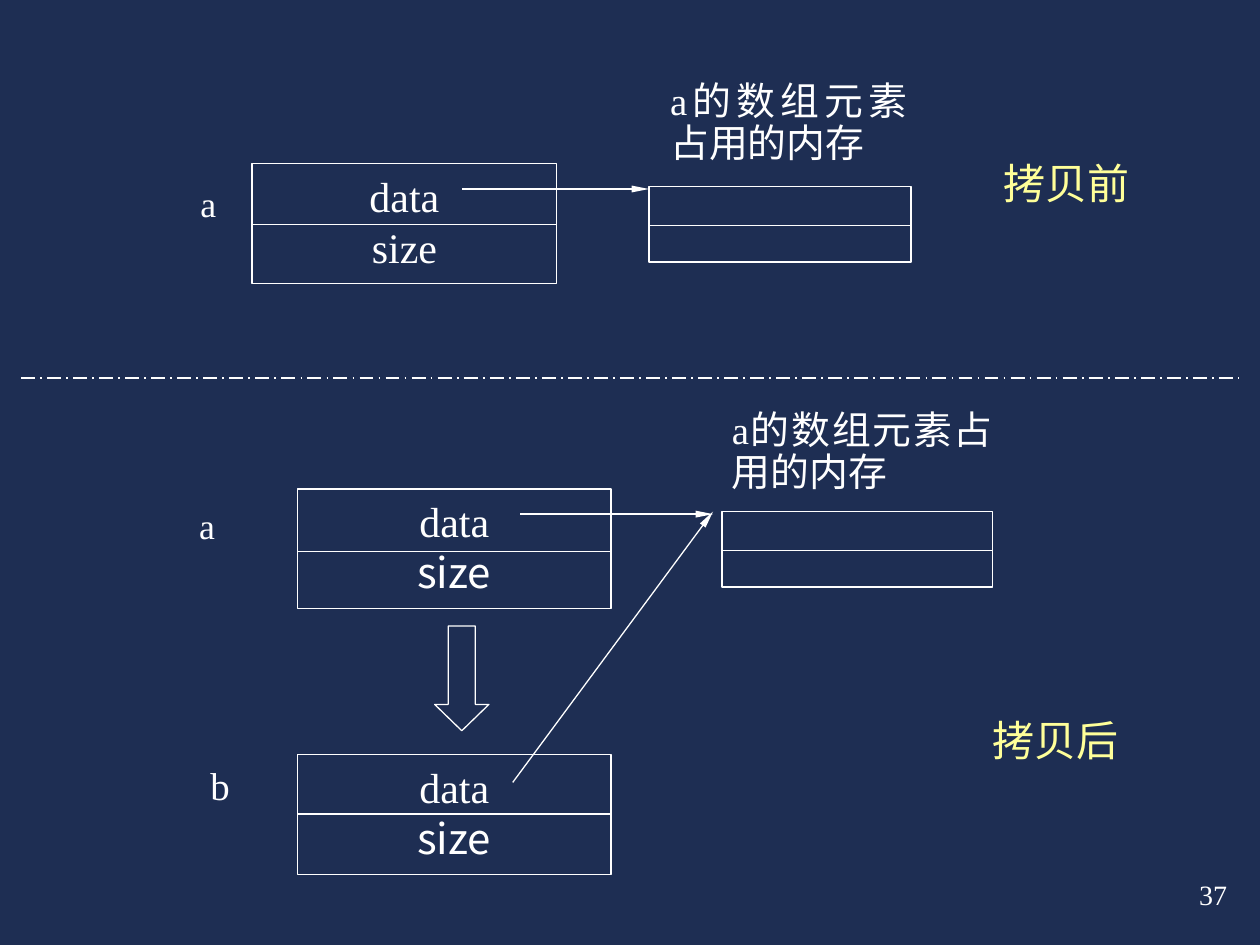
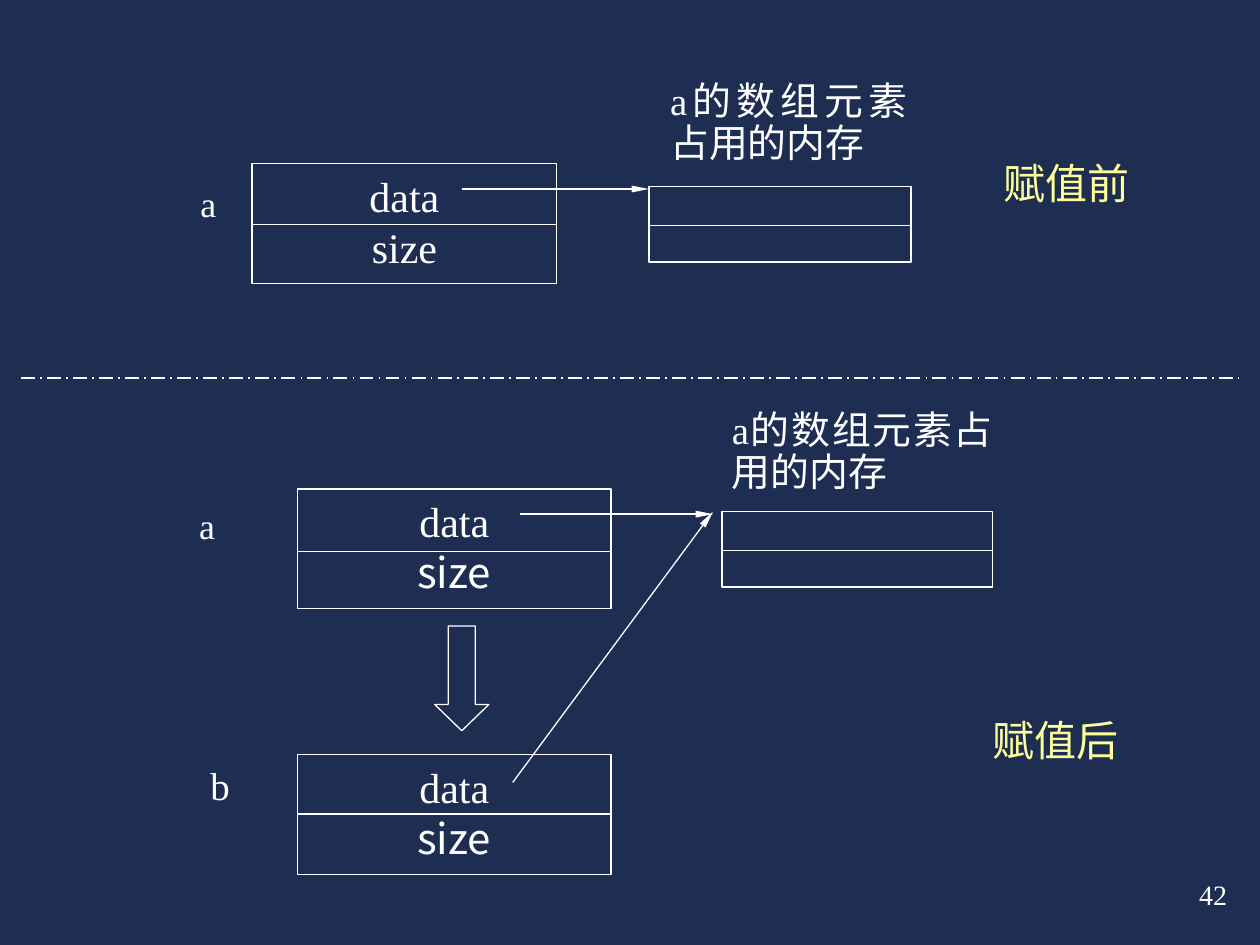
from dataclasses import dataclass

from lxml.etree import SubElement
from pptx import Presentation
from pptx.dml.color import RGBColor
from pptx.enum.dml import MSO_LINE
from pptx.enum.shapes import MSO_CONNECTOR, MSO_SHAPE
from pptx.enum.text import MSO_ANCHOR, MSO_AUTO_SIZE, PP_ALIGN
from pptx.oxml.ns import qn
from pptx.util import Pt


@dataclass(frozen=True)
class Theme:
    """Colours, fonts and sizes shared by the slides."""

    background: RGBColor = RGBColor(0x1E, 0x2E, 0x53)
    ink: RGBColor = RGBColor(0xFF, 0xFF, 0xFF)
    accent: RGBColor = RGBColor(0xFF, 0xFF, 0x99)
    latin: str = "Times New Roman"
    chinese: str = "Noto Sans CJK SC"
    heading: float = 24
    field: float = 24
    field_pitch: float = 29
    caption: float = 22.2
    label: float = 20.4
    page: float = 16
    outline: float = 0.75
    divider: float = 1


THEME = Theme()
WIDTH, HEIGHT = 720, 540
DIVIDER_TOP = 216
RECORD_HEIGHT = 68.4
MEMORY_HEIGHT = 43.2
HEADING_SIZE = (150.5, 31)
MEMORY_CAPTION = "a的数组元素占用的内存"


def style_paragraph(paragraph, size, color=THEME.ink, latin=THEME.latin, align=PP_ALIGN.LEFT):
    """Align a paragraph and give its runs their fonts, size and colour."""
    paragraph.alignment = align
    for run in paragraph.runs:
        run.font.size = Pt(size)
        run.font.name = latin
        run.font.color.rgb = color
        properties = run.font._element
        east_asian = SubElement(properties, qn("a:ea"), typeface=THEME.chinese)
        properties.find(qn("a:latin")).addnext(east_asian)


def set_insets(frame, horizontal, vertical):
    """Anchor a wrapped text frame at the top with the given insets."""
    frame.word_wrap = True
    frame.vertical_anchor = MSO_ANCHOR.TOP
    frame.margin_left = frame.margin_right = Pt(horizontal)
    frame.margin_top = frame.margin_bottom = Pt(vertical)


def add_text(slide, text, box, size):
    """Add a justified, tightly spaced text without insets."""
    frame = slide.shapes.add_textbox(*map(Pt, box)).text_frame
    set_insets(frame, 0, 0)
    frame.text = text
    paragraph = frame.paragraphs[0]
    style_paragraph(paragraph, size, align=PP_ALIGN.JUSTIFY)
    paragraph.line_spacing = 0.9


def add_line(slide, start, end, arrow=False, width=THEME.outline):
    """Add a straight line, with an arrowhead at its end if asked."""
    line = slide.shapes.add_connector(MSO_CONNECTOR.STRAIGHT, *map(Pt, (*start, *end)))
    line.line.color.rgb = THEME.ink
    line.line.width = Pt(width)
    SubElement(line._element.spPr, qn("a:effectLst"))
    if arrow:
        SubElement(line.line._get_or_add_ln(), qn("a:tailEnd"), type="triangle", w="sm", len="lg")
    return line


def add_outline(slide, preset, box):
    """Add an unfilled preset shape with a thin outline."""
    shape = slide.shapes.add_shape(preset, *map(Pt, box))
    shape.shadow.inherit = False
    shape.fill.background()
    shape.line.color.rgb = THEME.ink
    shape.line.width = Pt(THEME.outline)
    return shape


def add_split_box(slide, box, split):
    """Add a rectangle divided by a level line at the given depth."""
    left, top, width, _ = box
    shape = add_outline(slide, MSO_SHAPE.RECTANGLE, box)
    add_line(slide, (left, top + split), (left + width, top + split))
    return shape


def add_record(slide, left, top, width, split, size_font=THEME.latin):
    """Add an object with its data and size fields."""
    frame = add_split_box(slide, (left, top, width, RECORD_HEIGHT), split).text_frame
    set_insets(frame, 0, 3.6)
    frame.text = "data\nsize"
    for paragraph, latin in zip(frame.paragraphs, (THEME.latin, size_font)):
        style_paragraph(paragraph, THEME.field, latin=latin, align=PP_ALIGN.CENTER)
        paragraph.line_spacing = Pt(THEME.field_pitch)


def add_memory(slide, left, top, width, caption_box):
    """Add the array memory and the caption above it."""
    add_split_box(slide, (left, top, width, MEMORY_HEIGHT), 22.3)
    add_text(slide, MEMORY_CAPTION, caption_box, THEME.caption)


def place_heading(shape, text, left, top):
    """Place and format the heading of a stage."""
    shape.left, shape.top, shape.width, shape.height = map(Pt, (left, top, *HEADING_SIZE))
    frame = shape.text_frame
    frame.auto_size = MSO_AUTO_SIZE.NONE
    set_insets(frame, 7.2, 0)
    frame.text = text
    style_paragraph(frame.paragraphs[0], THEME.heading, THEME.accent, align=PP_ALIGN.CENTER)


def draw_before(slide, heading, left, top):
    """Draw the stage in which only object a exists."""
    place_heading(slide.shapes.title, heading, left + 534.2, top + 90)
    add_memory(slide, left + 370.8, top + 106.6, 149.8, (left + 383, top + 46.8, 135.4, 55.4))
    add_record(slide, left + 144, top + 93.6, 174.2, 34.5)
    add_text(slide, "a", (left + 114.5, top + 106.6, 24.5, 26), THEME.label)
    add_line(slide, (left + 264.2, top + 108), (left + 370.8, top + 108), arrow=True)


def draw_after(slide, heading, left, top):
    """Draw the stage in which a and b share the same memory."""
    place_heading(slide.shapes.add_textbox(0, 0, 0, 0), heading, left + 527.8, top + 192.2)
    add_memory(slide, left + 412.6, top + 76.3, 154.4, (left + 418.3, top + 18.7, 149, 55.4))
    for name, size, label_left, label_top, record_top, split in (
        ("a", THEME.label, 113.8, 74.9, 63.4, 35.8),
        ("b", THEME.caption, 120.2, 222.5, 215.3, 33.8),
    ):
        add_record(slide, left + 169.9, top + record_top, 179.3, split, THEME.chinese)
        add_text(slide, name, (left + label_left, top + label_top, 25.2, 26), size)
    for start, end in (
        ((297.4, 77.8), (407.5, 77.8)),
        ((293, 231.1), (407.5, 76.3)),
    ):
        add_line(
            slide,
            (left + start[0], top + start[1]),
            (left + end[0], top + end[1]),
            arrow=True,
        )
    copying = add_outline(slide, MSO_SHAPE.DOWN_ARROW, (left + 248.4, top + 141.8, 31, 59.8))
    copying.adjustments[0], copying.adjustments[1] = 0.5, 0.485


def draw_page_number(slide, number):
    """Write the page number in the lower right corner."""
    frame = slide.shapes.add_textbox(*map(Pt, (678.2, 498.2, 41.8, 26.6))).text_frame
    set_insets(frame, 7.2, 3.6)
    frame.text = number
    style_paragraph(frame.paragraphs[0], THEME.page)


def add_stages_slide(deck, before, after, number):
    """Add a slide that compares memory before and after an operation."""
    slide = deck.slides.add_slide(deck.slide_layouts.get_by_name("Title Only"))
    draw_before(slide, before, 0, 0)
    divider = add_line(slide, (12, DIVIDER_TOP), (WIDTH - 12, DIVIDER_TOP), width=THEME.divider)
    divider.line.dash_style = MSO_LINE.LONG_DASH_DOT
    draw_after(slide, after, 0, DIVIDER_TOP)
    draw_page_number(slide, number)


def main():
    """Build and save the presentation."""
    deck = Presentation()
    deck.slide_width, deck.slide_height = Pt(WIDTH), Pt(HEIGHT)
    background = deck.slide_master.background.fill
    background.solid()
    background.fore_color.rgb = THEME.background
    add_stages_slide(deck, "拷贝前", "拷贝后", "37")
    add_stages_slide(deck, "赋值前", "赋值后", "42")
    deck.save("out.pptx")


if __name__ == "__main__":
    main()
